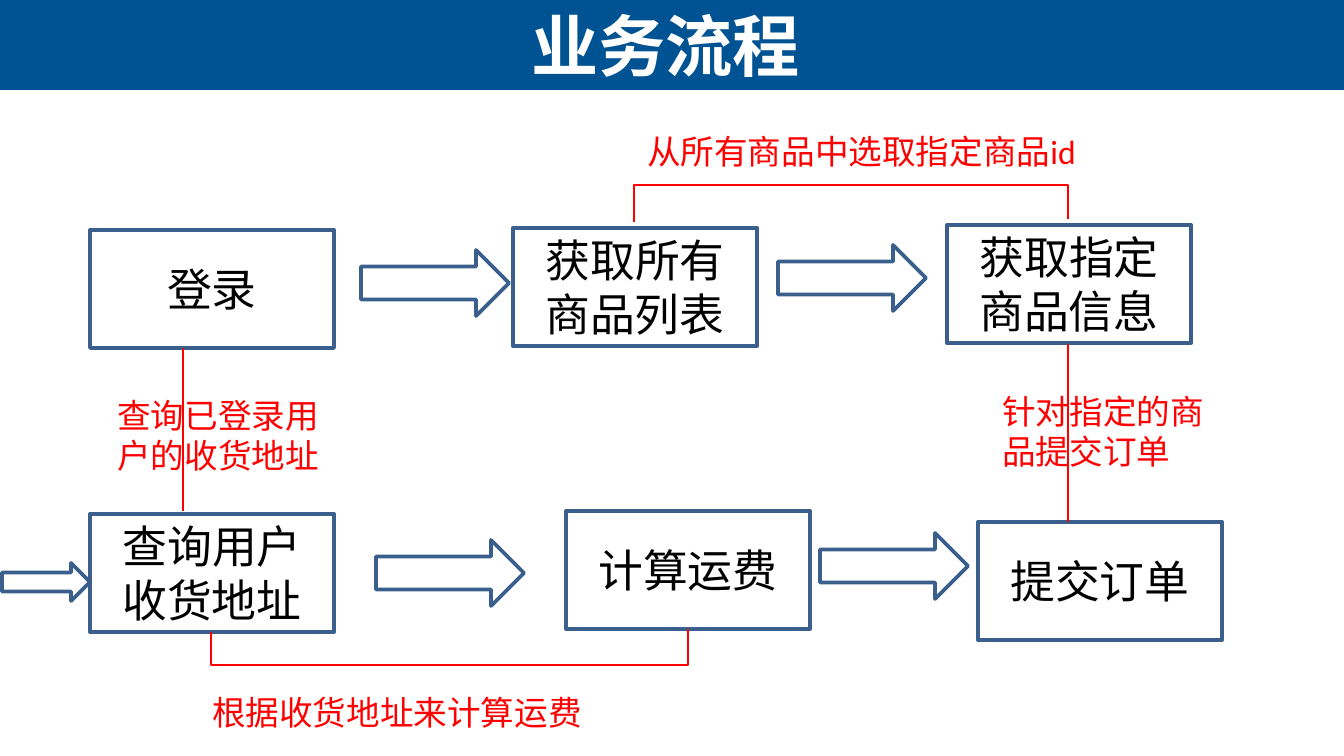
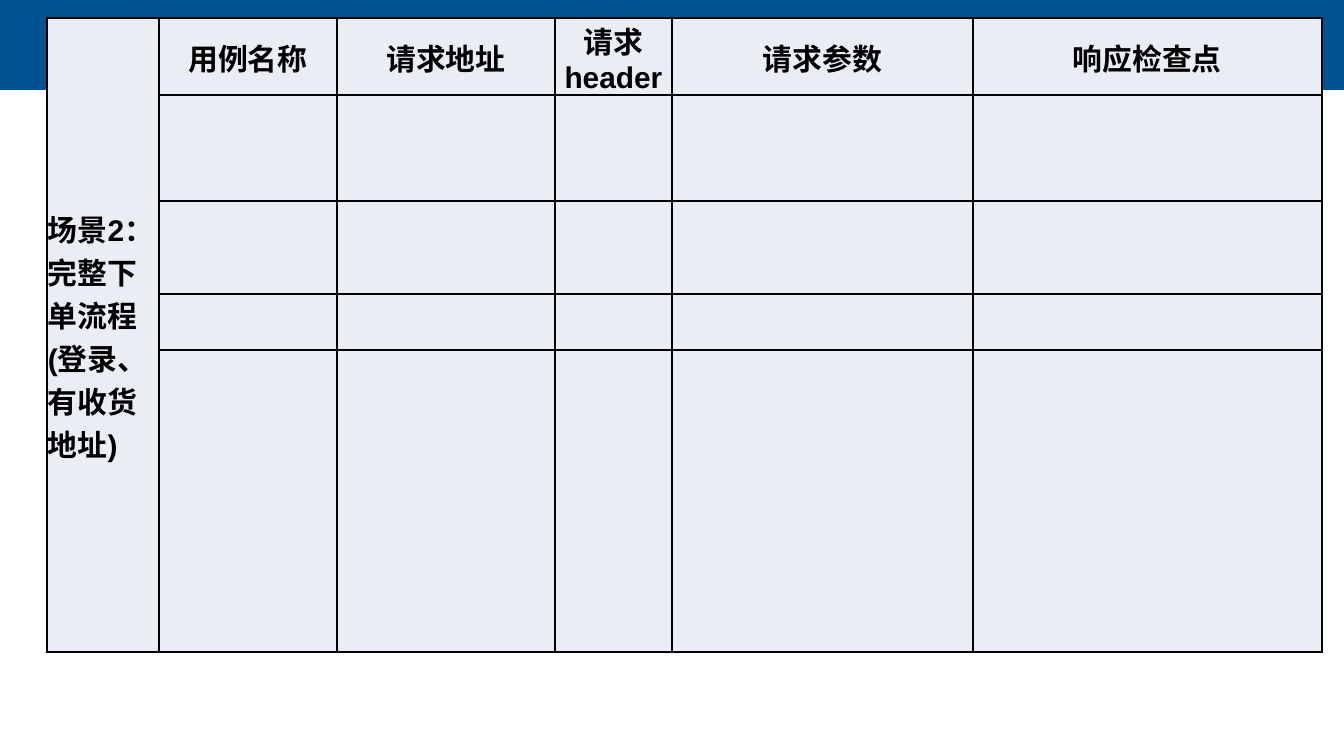
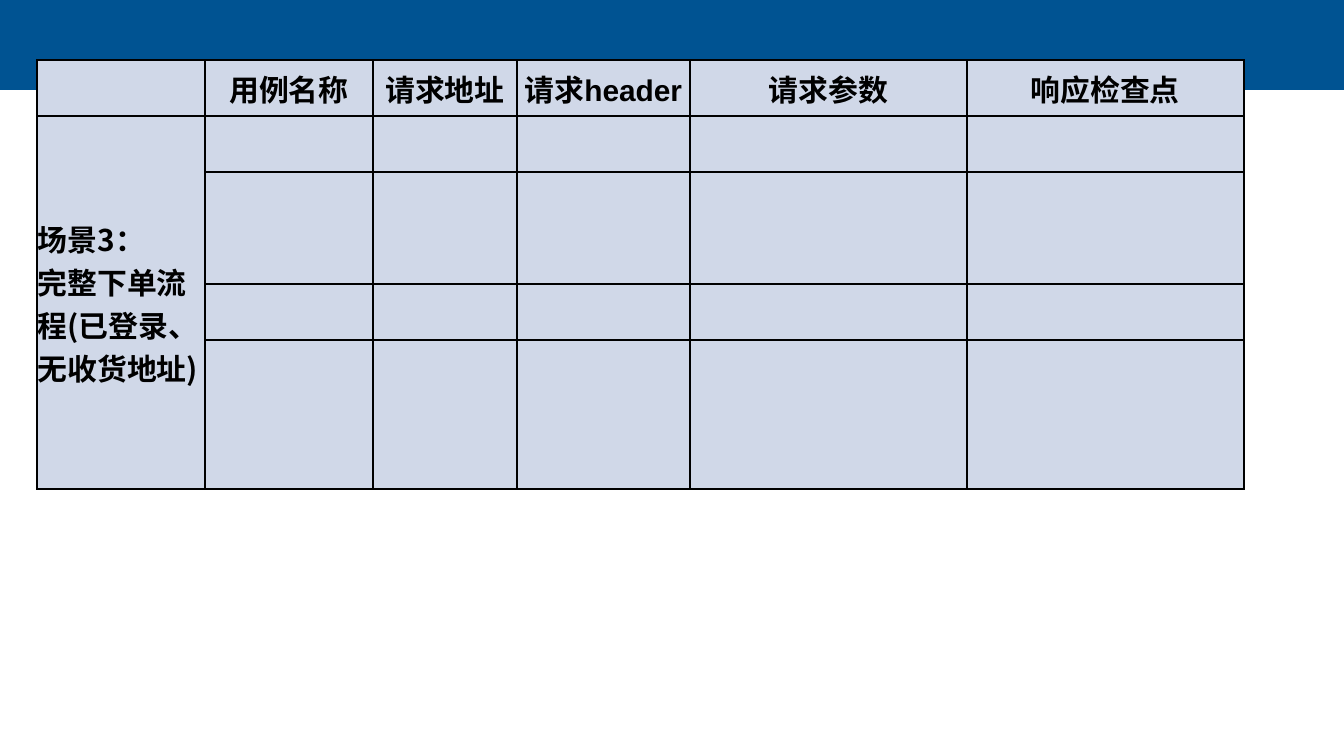
from lxml.etree import SubElement
from pptx import Presentation
from pptx.dml.color import RGBColor
from pptx.enum.shapes import MSO_CONNECTOR, MSO_SHAPE
from pptx.enum.text import MSO_ANCHOR, MSO_AUTO_SIZE, PP_ALIGN
from pptx.oxml.ns import qn
from pptx.util import Emu, Pt

NAVY = RGBColor(0x00, 0x53, 0x92)
STEEL = RGBColor(0x3A, 0x5F, 0x8C)
RED = RGBColor(0xFF, 0x00, 0x00)
BLACK = RGBColor(0x00, 0x00, 0x00)
WHITE = RGBColor(0xFF, 0xFF, 0xFF)
PALE = RGBColor(0xE9, 0xED, 0xF4)
MIST = RGBColor(0xD0, 0xD8, 0xE8)

SCALE = 914400 / 134.4
WIDE, HIGH, BAND = 1344, 756, 90

TITLE = dict(name="Arial", size=Pt(36), bold=True)
STEP = dict(name="Calibri", size=Pt(24))
NOTE = dict(name="Calibri", size=Pt(18))
HEAD = dict(name="Arial", size=Pt(16), bold=True)
HAN = {**HEAD, "name": "Noto Sans CJK SC"}
LABELS = ["用例名称", "请求地址", "请求header", "请求参数", "响应检查点"]


def px(*vals):
    """Turn pixels into EMU lengths."""
    return [Emu(round(v * SCALE)) for v in vals]


def apply(item, style):
    """Set every attribute named in a style."""
    for key, val in style.items():
        setattr(item, key, val)


def write(frame, text, style, color, align=None):
    """Fill a text frame with one styled paragraph."""
    frame.text = text
    para = frame.paragraphs[0]
    para.alignment = align
    for run in para.runs:
        apply(run.font, style)
        run.font.color.rgb = color


def band(deck, slide):
    """Put the top band on the master, behind all else."""
    bar = slide.shapes.add_shape(MSO_SHAPE.RECTANGLE, *px(0, 0, WIDE, BAND))
    bar.shadow.inherit = False
    bar.fill.solid()
    bar.fill.fore_color.rgb = NAVY
    bar.line.fill.background()
    deck.slide_master.shapes.element.insert(2, bar._element)


def title(slide, text):
    """Place the title over the band."""
    head = slide.shapes.title
    apply(head, dict(zip(("left", "top", "width", "height"), px(2, 0, 1327, BAND))))
    write(head.text_frame, text, TITLE, WHITE, PP_ALIGN.CENTER)
    apply(head.text_frame, dict(vertical_anchor=MSO_ANCHOR.MIDDLE, word_wrap=True,
                                auto_size=MSO_AUTO_SIZE.NONE))


def outline(slide, kind, box):
    """Draw a hollow shape with a steel edge."""
    shape = slide.shapes.add_shape(kind, *px(*box))
    shape.shadow.inherit = False
    shape.fill.background()
    shape.line.color.rgb = STEEL
    shape.line.width = Pt(2)
    return shape


def step(slide, x, y, text):
    """Draw one step of the flow."""
    frame = outline(slide, MSO_SHAPE.RECTANGLE, (x, y, 244, 118)).text_frame
    write(frame, text, STEP, BLACK, PP_ALIGN.CENTER)
    apply(frame, dict(vertical_anchor=MSO_ANCHOR.MIDDLE, word_wrap=True))


def note(slide, box, text):
    """Write a red remark beside a link."""
    frame = slide.shapes.add_textbox(*px(*box)).text_frame
    write(frame, text, NOTE, RED)
    apply(frame, dict(word_wrap=True, auto_size=MSO_AUTO_SIZE.SHAPE_TO_FIT_TEXT))


def link(slide, kind, *ends):
    """Draw a thin red connector."""
    wire = slide.shapes.add_connector(kind, *px(*ends))
    wire.line.color.rgb = RED
    wire.line.width = Pt(0.75)
    SubElement(wire._element.spPr, qn("a:effectLst"))
    return wire


def bracket(slide, left, low, right, top, bend):
    """Join two steps by an elbow turned a quarter, running along bend."""
    wide, tall = right - left, low - top
    x, y = (left + right - tall) / 2, (low + top - wide) / 2
    wire = link(slide, MSO_CONNECTOR.ELBOW, x, y, x + tall, y + wide)
    props = wire._element.spPr
    props.find(qn("a:xfrm")).set("rot", "16200000")
    ratio = round((low - bend) / tall * 100000)
    guides = props.find(qn("a:prstGeom")).find(qn("a:avLst"))
    SubElement(guides, qn("a:gd"), name="adj1", fmla=f"val {ratio}")


def border(cell):
    """Rule all four sides of a cell in black."""
    props = cell._tc.get_or_add_tcPr()
    for side in ("lnL", "lnR", "lnT", "lnB"):
        edge = SubElement(props, qn(f"a:{side}"), w=str(Pt(1)))
        fill = SubElement(edge, qn("a:solidFill"))
        SubElement(fill, qn("a:srgbClr"), val=str(BLACK))


def label(cell, text, style, align=None):
    """Write a bold label into a tight cell."""
    write(cell.text_frame, text, style, BLACK, align)
    one = px(1)[0]
    apply(cell, dict(margin_left=one, margin_right=one, margin_top=one,
                     margin_bottom=0, vertical_anchor=MSO_ANCHOR.MIDDLE))


def cases(slide, x, y, cols, rows, first, scene, style, tint):
    """Draw a case table whose scene cell spans from row first down."""
    box = px(x, y, sum(cols), sum(rows))
    grid = slide.shapes.add_table(len(rows), len(cols), *box).table
    for col, size in zip(grid.columns, px(*cols)):
        col.width = size
    for row, size in zip(grid.rows, px(*rows)):
        row.height = size
    for cell in grid.iter_cells():
        border(cell)
        cell.fill.solid()
        cell.fill.fore_color.rgb = tint
    for col, text in enumerate(LABELS, 1):
        label(grid.cell(0, col), text, HEAD, PP_ALIGN.CENTER)
    grid.cell(first, 0).merge(grid.cell(len(rows) - 1, 0))
    label(grid.cell(first, 0), scene, style)


def flow(slide):
    """Build the business flow slide."""
    title(slide, "业务流程")
    for x, y, text in [(90, 230, "登录"), (513, 228, "获取所有商品列表"),
                       (947, 225, "获取指定商品信息"), (90, 514, "查询用户收货地址"),
                       (566, 511, "计算运费"), (978, 522, "提交订单")]:
        step(slide, x, y, text)
    outline(slide, MSO_SHAPE.RIGHT_ARROW, (2, 563, 88, 38))
    for x, y in [(778, 245), (361, 250), (376, 540), (820, 533)]:
        outline(slide, MSO_SHAPE.RIGHT_ARROW, (x, y, 148, 66))
    bracket(slide, 634, 222, 1068, 219, 185)
    bracket(slide, 211, 632, 688, 629, 665)
    for x, top, low in [(1068, 344, 522), (183, 348, 511)]:
        link(slide, MSO_CONNECTOR.STRAIGHT, x, top, x, low)
    note(slide, (634, 124, 550, 54), "从所有商品中选取指定商品id")
    note(slide, (989, 384, 233, 95), "针对指定的商品提交订单")
    note(slide, (104, 388, 233, 95), "查询已登录用户的收货地址")
    note(slide, (199, 685, 550, 54), "根据收货地址来计算运费")


def main():
    """Build and save the deck."""
    deck = Presentation()
    deck.slide_width, deck.slide_height = px(WIDE, HIGH)
    start, second, third = [deck.slides.add_slide(deck.slide_layouts[n])
                            for n in (5, 6, 6)]
    band(deck, start)
    flow(start)
    cases(second, 47, 18, [112, 178, 218, 117, 301, 349], [31, 106, 93, 56, 149],
          0, "场景2：\v完整下单流程(登录、有收货地址)", HEAD, PALE)
    cases(third, 37, 60, [168, 168, 144, 173, 277, 277], [56, 56, 112, 56, 149],
          1, "场景3：\v完整下单流程(已登录、无收货地址)", HAN, MIST)
    deck.save("out.pptx")


main()
